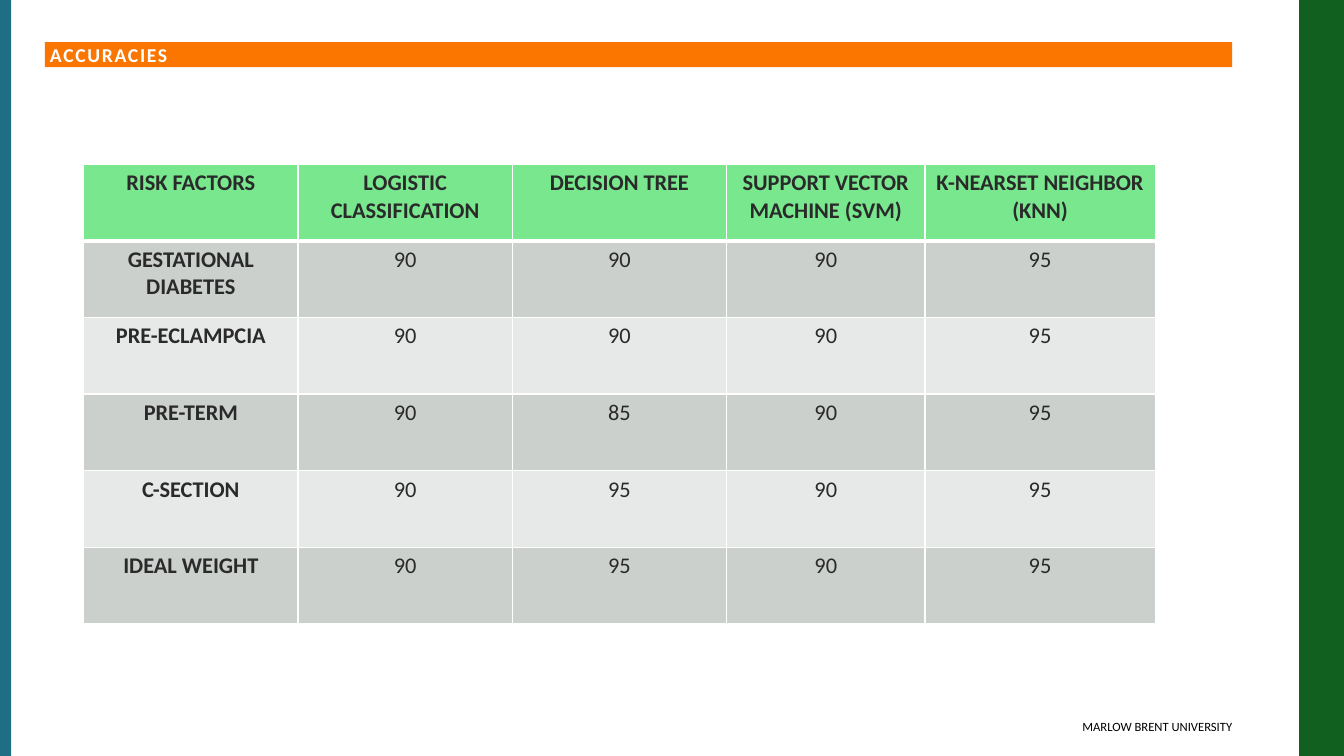
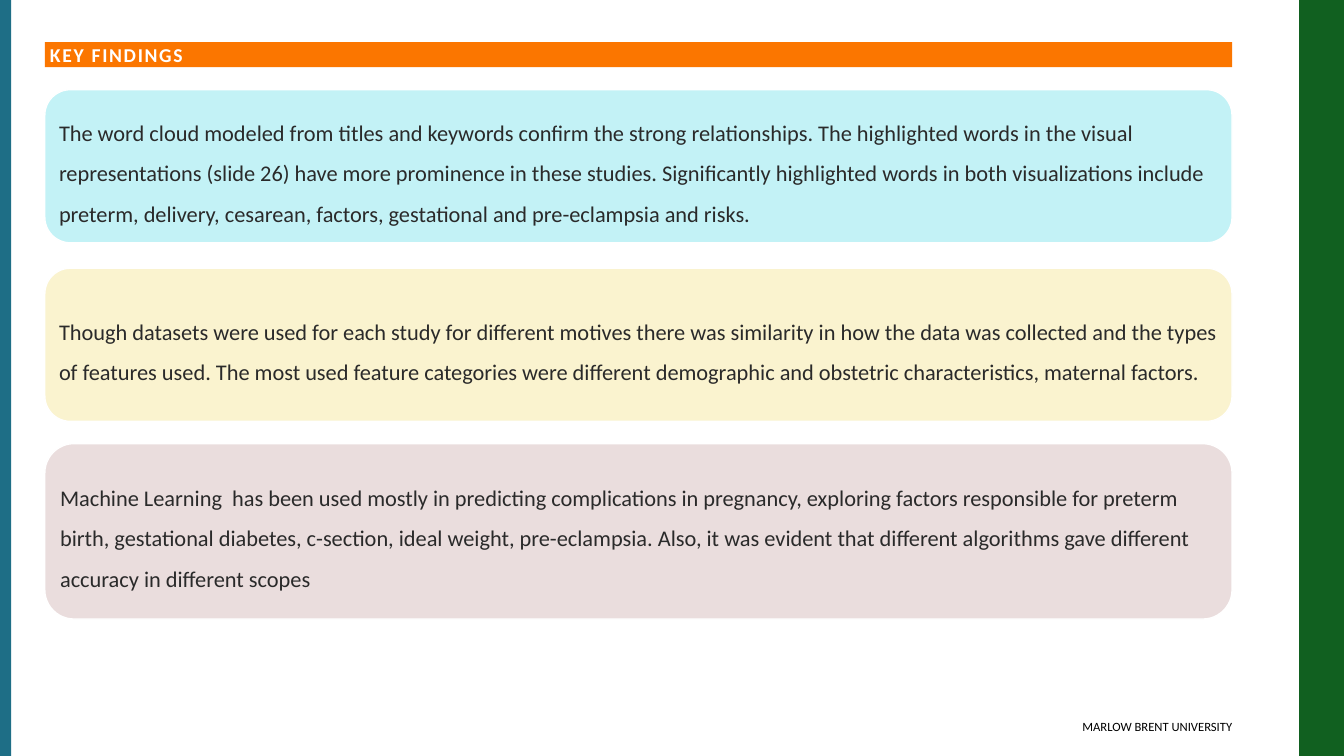
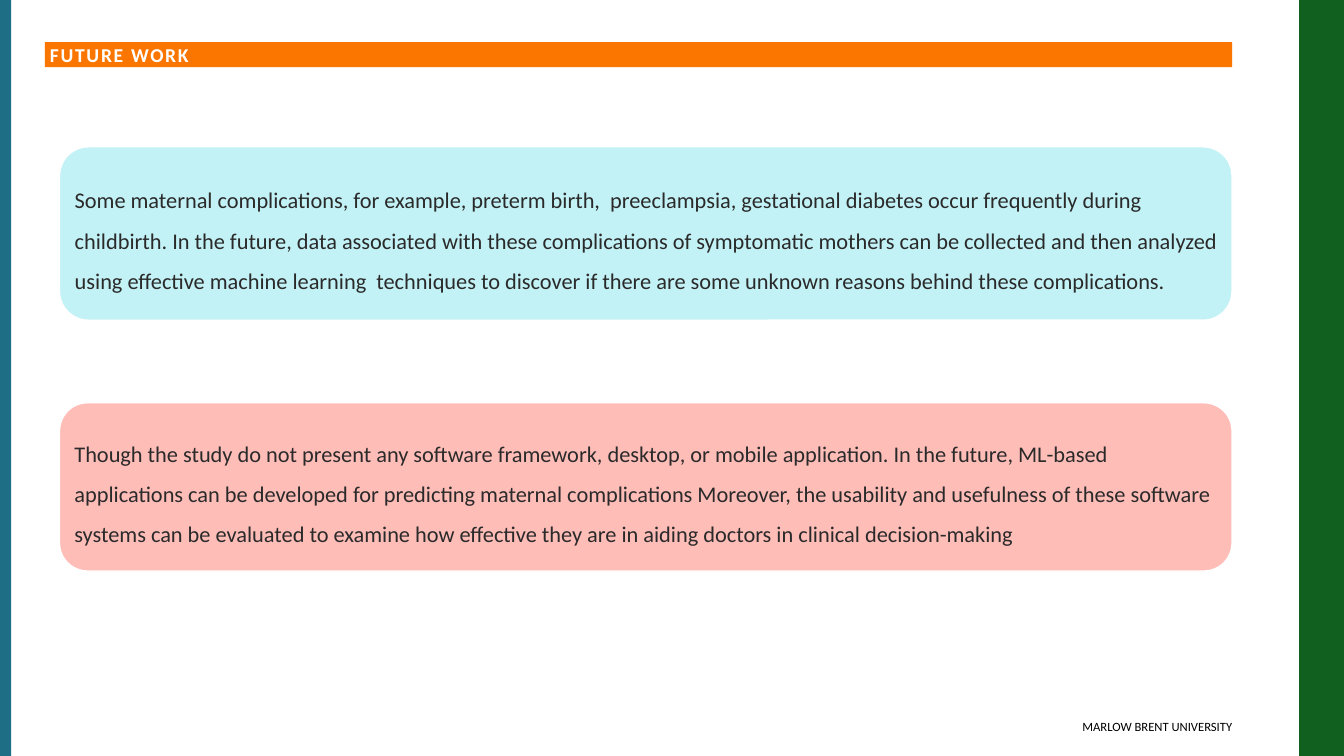
"""Build three slides on model accuracies, key findings and future work."""
from lxml import etree
from pptx import Presentation
from pptx.dml.color import RGBColor
from pptx.enum.shapes import MSO_SHAPE
from pptx.enum.text import MSO_ANCHOR, MSO_AUTO_SIZE, PP_ALIGN
from pptx.oxml.ns import qn
from pptx.util import Cm, Pt

RECTANGLE, ROUNDED = MSO_SHAPE.RECTANGLE, MSO_SHAPE.ROUNDED_RECTANGLE
LEFT, CENTER, RIGHT = PP_ALIGN.LEFT, PP_ALIGN.CENTER, PP_ALIGN.RIGHT
MIDDLE = MSO_ANCHOR.MIDDLE
NO_FIT = MSO_AUTO_SIZE.NONE

WHITE = RGBColor(0xFF, 0xFF, 0xFF)
BLACK = RGBColor(0x00, 0x00, 0x00)
INK = RGBColor(0x2A, 0x2A, 0x2A)
GREEN = RGBColor(0x11, 0x60, 0x20)
TEAL = RGBColor(0x1E, 0x6E, 0x86)
ORANGE = RGBColor(0xFB, 0x76, 0x00)
HEADER_GREEN = RGBColor(0x78, 0xE7, 0x8D)
ROW_DARK = RGBColor(0xCC, 0xD0, 0xCD)
ROW_LIGHT = RGBColor(0xE7, 0xE9, 0xE8)
AQUA = RGBColor(0xC3, 0xF2, 0xF6)
CREAM = RGBColor(0xFA, 0xF3, 0xCF)
MAUVE = RGBColor(0xEA, 0xDD, 0xDD)
PINK = RGBColor(0xFF, 0xBD, 0xB8)

FONT = "Calibri"
SLIDE_WIDTH, SLIDE_HEIGHT = 33.87, 19.05
CONTENT_LEFT, CONTENT_RIGHT = 1.13, 31.05
GREEN_BAND_WIDTH, TEAL_BAND_WIDTH = 1.13, 0.28
CARD_INSET, CARD_RIGHT_INSET = 0.17, 0.1

FACTORS = [
    ["RISK FACTORS", "LOGISTIC CLASSIFICATION", "DECISION TREE",
     "SUPPORT VECTOR MACHINE (SVM)", "K-NEARSET NEIGHBOR\n(KNN)"],
    ["GESTATIONAL DIABETES", "90", "90", "90", "95"],
    ["PRE-ECLAMPCIA", "90", "90", "90", "95"],
    ["PRE-TERM", "90", "85", "90", "95"],
    ["C-SECTION", "90", "95", "90", "95"],
    ["IDEAL WEIGHT", "90", "95", "90", "95"],
]
COLUMN_WIDTHS = [5.4, 5.4, 5.4, 5.0, 5.8]
ROW_HEIGHT = 1.93

FINDINGS = [
    (2.26, 3.86, AQUA,
     "The word cloud modeled from titles and keywords confirm the strong "
     "relationships. The highlighted words in the visual representations "
     "(slide 26) have more prominence in these studies. Significantly "
     "highlighted words in both visualizations include preterm, delivery, "
     "cesarean, factors, gestational and pre-eclampsia and risks."),
    (6.76, 3.86, CREAM,
     "Though datasets were used for each study for different motives there "
     "was similarity in how the data was collected and the types of features "
     "used. The most used feature categories were different demographic and "
     "obstetric characteristics, maternal factors."),
    (11.18, 4.42, MAUVE,
     "Machine Learning  has been used mostly in predicting complications in "
     "pregnancy, exploring factors responsible for preterm birth, gestational "
     "diabetes, c-section, ideal weight, pre-eclampsia. Also, it was evident "
     "that different algorithms gave different accuracy in different scopes"),
]
PLANS = [
    (3.7, 4.37, AQUA,
     "Some maternal complications, for example, preterm birth,  preeclampsia, "
     "gestational diabetes occur frequently during childbirth. In the future, "
     "data associated with these complications of symptomatic mothers can be "
     "collected and then analyzed using effective machine learning  techniques "
     "to discover if there are some unknown reasons behind these complications."),
    (10.15, 4.24, PINK,
     "Though the study do not present any software framework, desktop, or "
     "mobile application. In the future, ML-based applications can be "
     "developed for predicting maternal complications Moreover, the usability "
     "and usefulness of these software systems can be evaluated to examine how "
     "effective they are in aiding doctors in clinical decision-making"),
]
PAGES = [
    ("ACCURACIES", CONTENT_LEFT, []),
    ("KEY FINDINGS", CONTENT_LEFT, FINDINGS),
    ("FUTURE WORK", 1.5, PLANS),
]


def write(paragraph, text, size, color, align, bold=False):
    paragraph.alignment = align
    run = paragraph.add_run()
    run.text = text
    run.font.name = FONT
    run.font.size = Pt(size)
    run.font.bold = bold
    run.font.color.rgb = color
    return run


def add_block(slide, kind, left, top, width, height, color):
    block = slide.shapes.add_shape(kind, Cm(left), Cm(top), Cm(width), Cm(height))
    block.shadow.inherit = False
    block.fill.solid()
    block.fill.fore_color.rgb = color
    block.line.fill.background()
    return block


prs = Presentation()
prs.slide_width, prs.slide_height = Cm(SLIDE_WIDTH), Cm(SLIDE_HEIGHT)
title_only = prs.slide_layouts[5]

for heading, card_left, cards in PAGES:
    slide = prs.slides.add_slide(title_only)
    add_block(slide, RECTANGLE, SLIDE_WIDTH - GREEN_BAND_WIDTH, 0,
              GREEN_BAND_WIDTH, SLIDE_HEIGHT, GREEN)
    add_block(slide, RECTANGLE, 0, 0, TEAL_BAND_WIDTH, SLIDE_HEIGHT, TEAL)

    footer = slide.shapes.add_textbox(Cm(17.45), Cm(18.11), Cm(13.6), Cm(0.36)).text_frame
    footer.word_wrap = True
    footer.margin_left = footer.margin_right = footer.margin_top = footer.margin_bottom = 0
    write(footer.paragraphs[0], "MARLOW BRENT UNIVERSITY", 9, BLACK, RIGHT)

    title = slide.shapes.title
    title.left, title.top = Cm(CONTENT_LEFT), Cm(1.06)
    title.width, title.height = Cm(CONTENT_RIGHT - CONTENT_LEFT), Cm(0.63)
    title.fill.solid()
    title.fill.fore_color.rgb = ORANGE
    title_text = title.text_frame
    title_text.auto_size = NO_FIT
    title_text.vertical_anchor = MIDDLE
    title_text.margin_left = title_text.margin_right = Cm(0.13)
    title_text.margin_top = title_text.margin_bottom = 0
    heading_run = write(title_text.paragraphs[0], heading, 14, WHITE, LEFT, True)
    heading_run._r.get_or_add_rPr().set("spc", "120")

    for top, height, color, statement in cards:
        card = add_block(slide, ROUNDED, card_left, top,
                         CONTENT_RIGHT - card_left, height, color)
        card.line.color.rgb = WHITE
        card.line.width = Pt(1)
        card_text = card.text_frame
        card_text.word_wrap = True
        card_text.vertical_anchor = MIDDLE
        card_text.margin_left, card_text.margin_right = Cm(CARD_INSET), Cm(CARD_RIGHT_INSET)
        card_text.margin_top = card_text.margin_bottom = Cm(CARD_INSET)
        card_text.paragraphs[0].line_spacing = 1.5
        write(card_text.paragraphs[0], statement, 16, INK, LEFT)

accuracies = prs.slides[0].shapes.add_table(
    len(FACTORS), len(COLUMN_WIDTHS), Cm(2.11), Cm(4.14),
    Cm(sum(COLUMN_WIDTHS)), Cm(ROW_HEIGHT * len(FACTORS))).table
for column, width in zip(accuracies.columns, COLUMN_WIDTHS):
    column.width = Cm(width)

for row_index, factor in enumerate(FACTORS):
    accuracies.rows[row_index].height = Cm(ROW_HEIGHT)
    is_header = row_index == 0
    row_color = HEADER_GREEN if is_header else (ROW_LIGHT, ROW_DARK)[row_index % 2]
    for column_index, entry in enumerate(factor):
        cell = accuracies.cell(row_index, column_index)
        cell.fill.solid()
        cell.fill.fore_color.rgb = row_color
        for line_index, line in enumerate(entry.split("\n")):
            if line_index:
                cell.text_frame.add_paragraph()
            write(cell.text_frame.paragraphs[line_index], line, 16, INK, CENTER,
                  is_header or column_index == 0)
        properties = cell._tc.get_or_add_tcPr()
        for position, side in enumerate(("a:lnL", "a:lnR", "a:lnT", "a:lnB")):
            heavy = (is_header and side == "a:lnB") or (row_index == 1 and side == "a:lnT")
            border = etree.Element(qn(side), w=str(Pt(3 if heavy else 1)))
            border_fill = etree.SubElement(border, qn("a:solidFill"))
            etree.SubElement(border_fill, qn("a:srgbClr"), val=str(WHITE))
            properties.insert(position, border)

prs.save("out.pptx")
